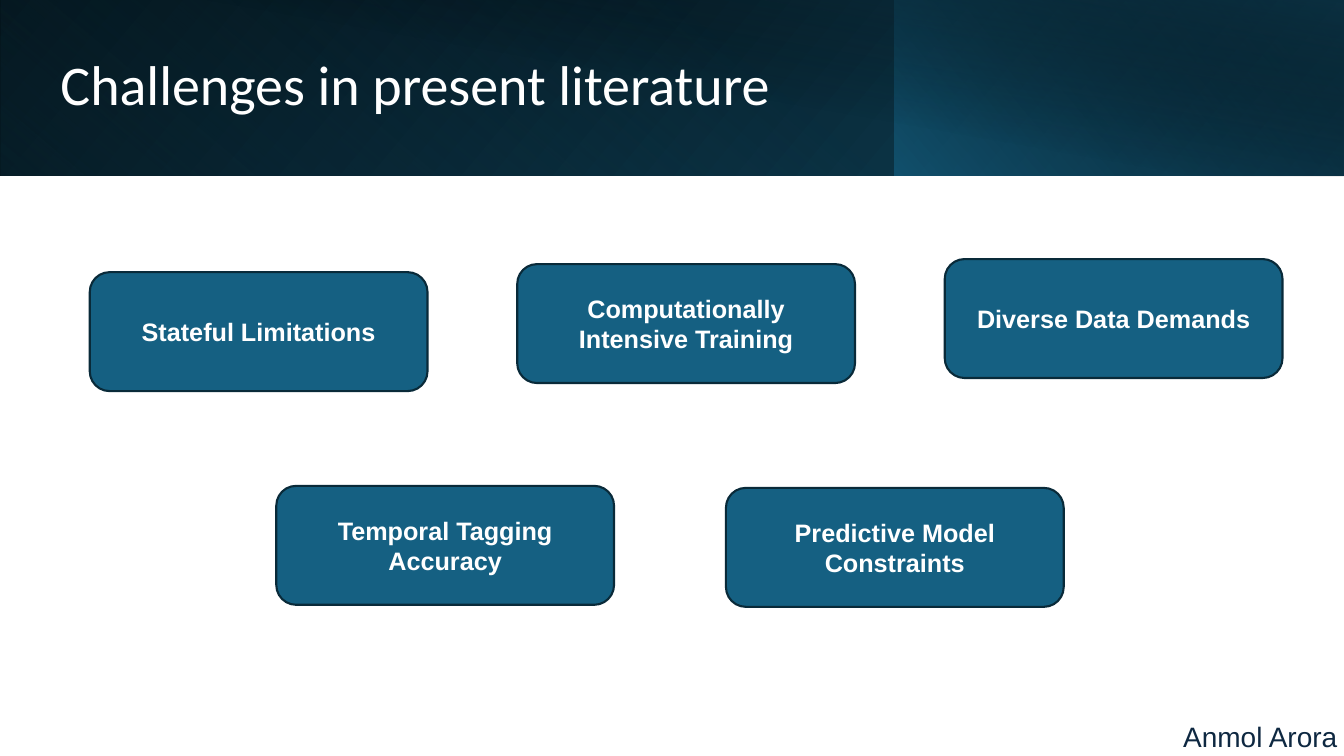
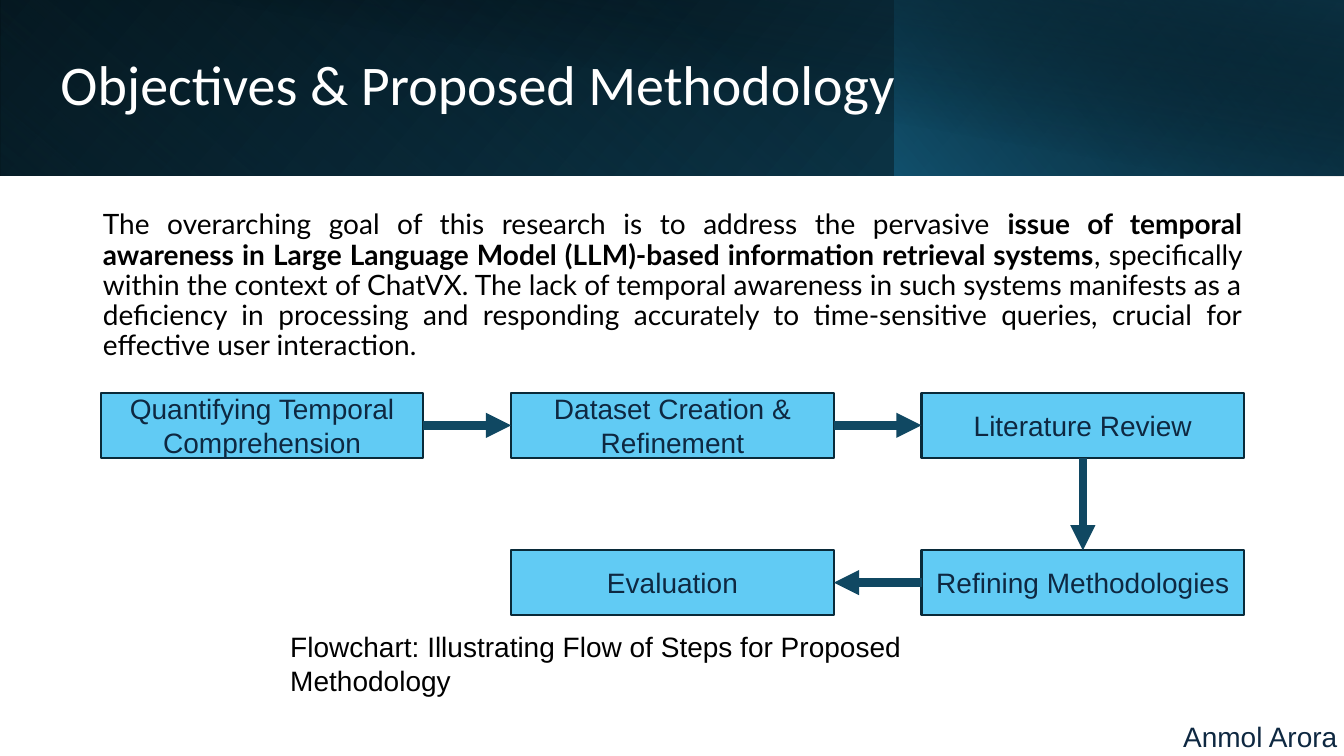
from dataclasses import dataclass

from lxml import etree
from pptx import Presentation
from pptx.dml.color import RGBColor
from pptx.enum.shapes import MSO_CONNECTOR, MSO_SHAPE
from pptx.enum.text import MSO_ANCHOR, MSO_AUTO_SIZE, PP_ALIGN
from pptx.oxml.ns import qn
from pptx.util import Inches, Pt

RECTANGLE = MSO_SHAPE.RECTANGLE
ROUNDED = MSO_SHAPE.FLOWCHART_ALTERNATE_PROCESS
STRAIGHT = MSO_CONNECTOR.STRAIGHT
TOP_ANCHOR, MIDDLE = MSO_ANCHOR.TOP, MSO_ANCHOR.MIDDLE
LEFT_ALIGN, CENTER, JUSTIFY = PP_ALIGN.LEFT, PP_ALIGN.CENTER, PP_ALIGN.JUSTIFY
TOP, LEFT, BOTTOM, RIGHT = range(4)
TITLE_ONLY, TITLE_AND_BODY = 5, 1


@dataclass(frozen=True)
class Font:
    name: str
    size: int
    color: str
    bold: bool = False


@dataclass(frozen=True)
class Theme:
    teal: str = "156082"
    sky: str = "61CBF4"
    outline: str = "092A39"
    arrow: str = "104862"
    title: Font = Font("Calibri", 40, "FFFFFF")
    body: Font = Font("Lato", 20, "000000")
    body_bold: Font = Font("Lato", 20, "000000", True)
    challenge: Font = Font("Arial", 18, "FFFFFF", True)
    step: Font = Font("Arial", 20, "0E2841")
    caption: Font = Font("Arial", 20, "000000")


@dataclass(frozen=True)
class Area:
    left: float
    top: float
    width: float
    height: float

    def lengths(self):
        return [Inches(n) for n in (self.left, self.top, self.width, self.height)]


@dataclass(frozen=True)
class Stop:
    position: float
    color: str
    opacity: int = 100


@dataclass(frozen=True)
class Band:
    area: Area
    start: Stop
    end: Stop
    angle: int  # clockwise degrees
    flipped: bool = True
    rotation: int = 0


@dataclass(frozen=True)
class Challenge:
    label: str
    left: float
    top: float


@dataclass(frozen=True)
class Step:
    label: str
    column: int
    row: int


@dataclass(frozen=True)
class Link:
    start_side: int
    end_side: int


THEME = Theme()
BANDS = [
    Band(Area(0, 0, 13.33, 1.74), Stop(0, "000000"), Stop(1, "104862"), 140),
    Band(Area(0, 0, 8.88, 1.74), Stop(0.2, "156082", 0), Stop(1, "0B3041", 55), 230,
         rotation=180),
    Band(Area(8.87, 0, 4.46, 1.74), Stop(0, "156082", 66), Stop(1, "000000", 30), 220),
    Band(Area(0.5, 0, 12.83, 1.75), Stop(0.5, "000000", 0), Stop(0.99, "0B3041", 52), 280,
         flipped=False),
]
TITLE_AREA = Area(0.5, 0.3, 10.82, 1.13)
AUTHOR_AREA = Area(11.67, 7.1, 1.66, 0.4)
BODY_AREA = Area(0.92, 2.04, 11.5, 1.75)
CAPTION_AREA = Area(2.78, 6.2, 7.81, 0.8)

CHALLENGES = [
    Challenge("Stateful Limitations", 0.89, 2.7),
    Challenge("Computationally Intensive Training", 5.13, 2.62),
    Challenge("Diverse Data Demands", 9.37, 2.57),
    Challenge("Temporal Tagging Accuracy", 2.74, 4.82),
    Challenge("Predictive Model Constraints", 7.2, 4.84),
]
GOAL = [
    ("The overarching goal of this research is to address the pervasive ", THEME.body),
    ("issue of temporal awareness in Large Language Model (LLM)-based information "
     "retrieval systems", THEME.body_bold),
    (", specifically within the context of ChatVX. The lack of temporal awareness in such "
     "systems manifests as a deficiency in processing and responding accurately to "
     "time-sensitive queries, crucial for effective user interaction.", THEME.body),
]
STEPS = [
    Step("Quantifying Temporal Comprehension", 0, 0),
    Step("Dataset Creation & Refinement", 1, 0),
    Step("Literature Review", 2, 0),
    Step("Refining Methodologies", 2, 1),
    Step("Evaluation", 1, 1),
]
LINKS = [Link(RIGHT, LEFT), Link(RIGHT, LEFT), Link(BOTTOM, TOP), Link(LEFT, RIGHT)]


def rgb(color: str) -> RGBColor:
    return RGBColor.from_string(color)


def add_span(para, text: str, font: Font):
    span = para.add_run()
    span.text = text
    span.font.name, span.font.size, span.font.bold = font.name, Pt(font.size), font.bold
    span.font.color.rgb = rgb(font.color)


def write(box, spans, align, anchor=MIDDLE):
    """Fill the box's single paragraph with (text, font) spans."""
    frame = box.text_frame
    frame.word_wrap = True
    frame.auto_size = MSO_AUTO_SIZE.NONE
    frame.vertical_anchor = anchor
    para = frame.paragraphs[0]
    para.alignment = align
    for text, font in spans:
        add_span(para, text, font)
    return para


def place(box, area: Area):
    box.left, box.top, box.width, box.height = area.lengths()


def add_band(page, band: Band):
    shape = page.shapes.add_shape(RECTANGLE, *band.area.lengths())
    shape.shadow.inherit = False
    shape.line.fill.background()
    shape.rotation = band.rotation
    shape.fill.gradient()
    shape.fill.gradient_angle = 360 - band.angle
    properties = shape._element.spPr
    if band.flipped:
        properties.find(qn("a:xfrm")).set("flipH", "1")
    stops = (band.start, band.end)
    for target, stop in zip(shape.fill.gradient_stops, stops):
        target.position = stop.position
        target.color.rgb = rgb(stop.color)
    for color, stop in zip(properties.iter(qn("a:srgbClr")), stops):
        if stop.opacity < 100:
            etree.SubElement(color, qn("a:alpha"), val=str(stop.opacity * 1000))


def add_text(page, text: str, area: Area, font: Font, align, anchor=MIDDLE):
    box = page.shapes.add_textbox(*area.lengths())
    write(box, [(text, font)], align, anchor)
    return box


def add_box(page, preset, area: Area, fill: str, text: str, font: Font):
    box = page.shapes.add_shape(preset, *area.lengths())
    box.shadow.inherit = False
    box.fill.solid()
    box.fill.fore_color.rgb = rgb(fill)
    box.line.color.rgb = rgb(THEME.outline)
    box.line.width = Pt(1.5)
    write(box, [(text, font)], CENTER)
    return box


def add_arrow(page, start, end, link: Link):
    arrow = page.shapes.add_connector(STRAIGHT, 0, 0, 0, 0)
    arrow.begin_connect(start, link.start_side)
    arrow.end_connect(end, link.end_side)
    arrow.line.color.rgb = rgb(THEME.arrow)
    arrow.line.width = Pt(6)
    properties = arrow._element.spPr
    etree.SubElement(properties.find(qn("a:ln")), qn("a:tailEnd"), type="triangle")
    etree.SubElement(properties, qn("a:effectLst"))


def add_page(deck, layout: int, title: str):
    """Start a page with the header bands, its title and the author's name."""
    page = deck.slides.add_slide(deck.slide_layouts[layout])
    for band in BANDS:
        add_band(page, band)
    heading = page.shapes.title
    heading._element.getparent().append(heading._element)  # above the bands
    place(heading, TITLE_AREA)
    write(heading, [(title, THEME.title)], LEFT_ALIGN).line_spacing = 0.9
    author = add_text(page, "Anmol Arora", AUTHOR_AREA, THEME.step, CENTER)
    author.text_frame.margin_left = author.text_frame.margin_right = 0
    return page


def add_goal(page):
    body = page.placeholders[1]
    place(body, BODY_AREA)
    para = write(body, GOAL, JUSTIFY, TOP_ANCHOR)
    para.line_spacing = 0.9
    para.space_before = Pt(10)
    properties = para._p.get_or_add_pPr()
    properties.set("marL", "0")
    properties.set("indent", "0")
    etree.SubElement(properties, qn("a:buNone"))


def build_challenges(deck):
    page = add_page(deck, TITLE_ONLY, "Challenges in present literature")
    for item in CHALLENGES:
        area = Area(item.left, item.top, 3.35, 1.18)
        add_box(page, ROUNDED, area, THEME.teal, item.label, THEME.challenge)


def build_methodology(deck):
    page = add_page(deck, TITLE_AND_BODY, "Objectives & Proposed Methodology")
    add_goal(page)
    boxes = []
    for step in STEPS:
        area = Area(1 + 4.07 * step.column, 3.9 + 1.56 * step.row, 3.2, 0.64)
        boxes.append(add_box(page, RECTANGLE, area, THEME.sky, step.label, THEME.step))
    for start, end, link in zip(boxes, boxes[1:], LINKS):
        add_arrow(page, start, end, link)
    add_text(page, "Flowchart: Illustrating Flow of Steps for Proposed Methodology",
             CAPTION_AREA, THEME.caption, LEFT_ALIGN, TOP_ANCHOR)


def main():
    deck = Presentation()
    deck.slide_width, deck.slide_height = Inches(13.33), Inches(7.5)
    build_challenges(deck)
    build_methodology(deck)
    deck.save("out.pptx")


if __name__ == "__main__":
    main()
